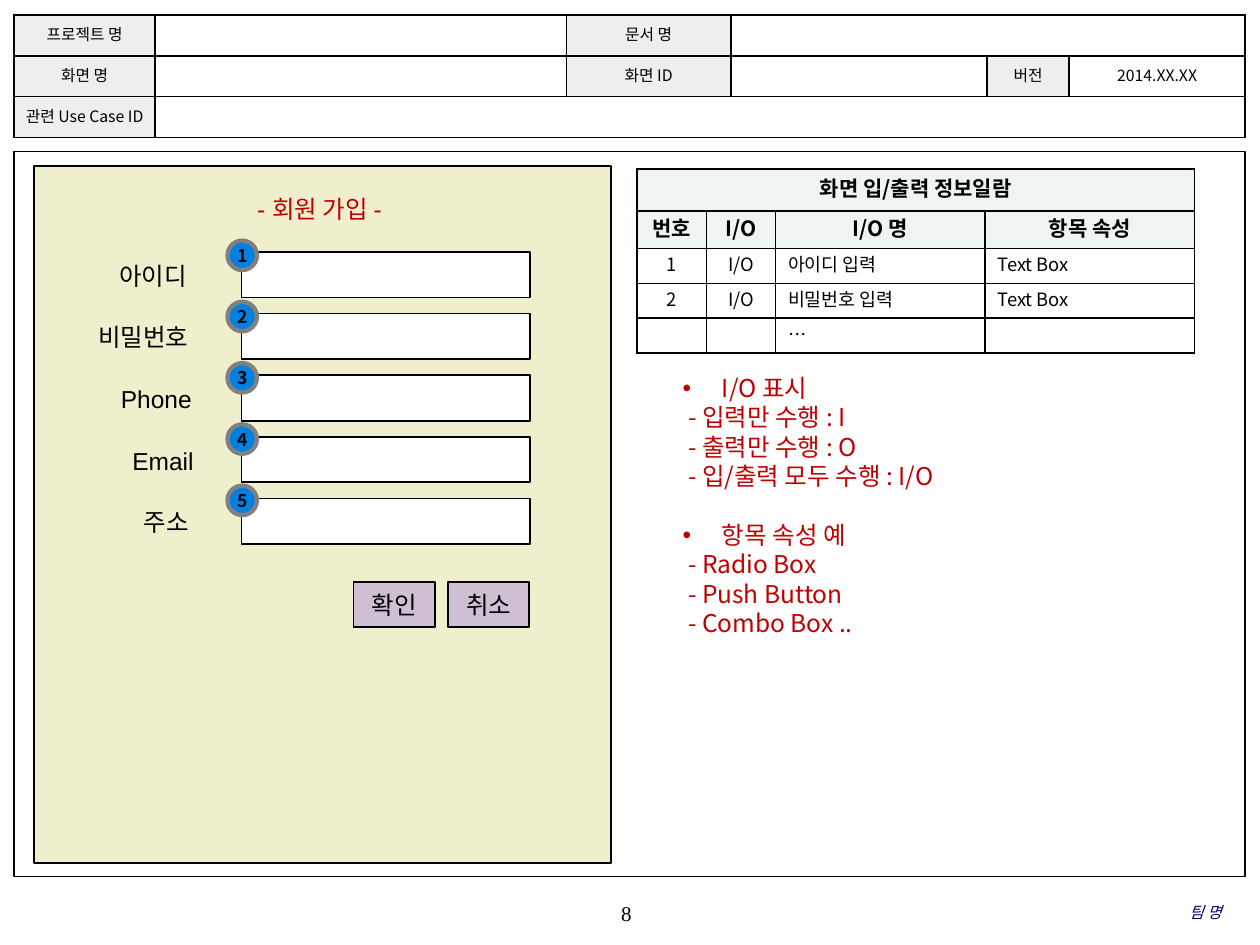
import pptx
import pptx.util
import pptx.dml.color
import pptx.enum.shapes
import pptx.enum.text
import pptx.oxml.ns
from lxml import etree

Pt = pptx.util.Pt
Align = pptx.enum.text.PP_ALIGN
Anchor = pptx.enum.text.MSO_ANCHOR
Kind = pptx.enum.shapes.MSO_SHAPE
qn = pptx.oxml.ns.qn


def color(hex):
    return pptx.dml.color.RGBColor.from_string(hex)


class Board:
    noto = "Noto Sans CJK KR"
    arial = "Arial"
    times = "Times New Roman"
    black = "000000"
    white = "FFFFFF"
    red = "C00000"
    pitch = 1.2

    def __init__(self, slide):
        self.slide = slide

    def style(self, para, size, face, ink=black, align=Align.LEFT, bold=False, slant=False):
        para.alignment = align
        para.line_spacing = Pt(round(size * self.pitch, 2))
        for run in para.runs:
            font = run.font
            font.size, font.name = Pt(size), face
            font.bold, font.italic = bold, slant
            font.color.rgb = color(ink)
            etree.SubElement(run._r.get_or_add_rPr(), qn("a:ea"), typeface=self.noto)
        if not para.runs:
            etree.SubElement(para._p, qn("a:endParaRPr"), sz=str(int(size * 100)))

    def shape(self, kind, box, fill, line=1, edge=black, text="", **look):
        item = self.slide.shapes.add_shape(kind, *map(Pt, box))
        item.shadow.inherit = False
        if fill:
            item.fill.solid()
            item.fill.fore_color.rgb = color(fill)
        else:
            item.fill.background()
        item.line.color.rgb = color(edge)
        item.line.width = Pt(line)
        if text:
            frame = item.text_frame
            frame.text = text
            frame.word_wrap = False
            frame.vertical_anchor = Anchor.MIDDLE
            self.style(frame.paragraphs[0], align=Align.CENTER, **look)

    def text(self, box, text, anchor=Anchor.MIDDLE, inset=True, **look):
        frame = self.slide.shapes.add_textbox(*map(Pt, box)).text_frame
        frame.text = text
        frame.word_wrap = True
        frame.vertical_anchor = anchor
        if not inset:
            frame.margin_left = frame.margin_right = 0
            frame.margin_top = frame.margin_bottom = 0
        for para in frame.paragraphs:
            self.style(para, **look)
        return frame

    def bullet(self, para, indent):
        props = para._p.get_or_add_pPr()
        props.set("marL", str(Pt(indent)))
        props.set("indent", str(-Pt(indent)))
        etree.SubElement(props, qn("a:buFont"), typeface=self.arial)
        etree.SubElement(props, qn("a:buChar"), char="•")

    def border(self, cell):
        props = cell._tc.get_or_add_tcPr()
        for side in ("lnL", "lnR", "lnT", "lnB"):
            line = etree.SubElement(props, qn("a:" + side), w=str(Pt(1)))
            fill = etree.SubElement(line, qn("a:solidFill"))
            etree.SubElement(fill, qn("a:srgbClr"), val=self.black)

    def table(self, left, top, cols, rows, data, spans, look, inset=None):
        size = (left, top, sum(cols), sum(rows))
        grid = self.slide.shapes.add_table(len(rows), len(cols), *map(Pt, size)).table
        grid.first_row = grid.horz_banding = False
        for col, width in zip(grid.columns, cols):
            col.width = Pt(width)
        for row, height in zip(grid.rows, rows):
            row.height = Pt(height)
        for r, words in enumerate(data):
            for c, word in enumerate(words):
                cell = grid.cell(r, c)
                fill, font = look(r, c, word)
                if inset:
                    cell.margin_left = cell.margin_right = Pt(inset[0])
                    cell.margin_top = cell.margin_bottom = Pt(inset[1])
                cell.vertical_anchor = Anchor.MIDDLE
                cell.text = word
                self.style(cell.text_frame.paragraphs[0], face=self.noto, **font)
                self.border(cell)
                cell.fill.solid()
                cell.fill.fore_color.rgb = color(fill)
        for r, first, last in spans:
            grid.cell(r, first).merge(grid.cell(r, last))


def info(row, col, word):
    if row < 2:
        return "EEF4F4", dict(size=12, bold=True, align=Align.CENTER)
    return Board.white, dict(size=10.5, align=Align.CENTER if col < 2 else Align.LEFT)


def head(row, col, word):
    label = word and col < 5
    return "EEEEEE" if label else Board.white, dict(size=9, align=Align.CENTER)


def main():
    deck = pptx.Presentation()
    deck.slide_width, deck.slide_height = Pt(720), Pt(540)
    board = Board(deck.slides.add_slide(deck.slide_layouts[6]))
    plain = dict(size=14, face=board.arial)

    board.text((283, 510, 150, 24), "8", inset=False, size=12, face=board.times,
               align=Align.CENTER)
    board.shape(Kind.RECTANGLE, (8, 86.5, 703.5, 414.5), None, line=0.75)
    board.text((477.5, 509, 220.5, 24), "팀 명", inset=False, size=9, face=board.times,
               ink="000066", align=Align.RIGHT, slant=True)

    board.shape(Kind.RECTANGLE, (19.5, 95, 329.5, 398), "EFEFCE")
    board.text((136, 107.3, 92, 23), " - 회원 가입 -", anchor=Anchor.TOP, ink=board.red, **plain)
    labels = (("아이디", 61), ("비밀번호", 49), ("Phone", 62), ("Email", 68.5), ("주소", 75))
    step = 35.2
    for i, (label, left) in enumerate(labels):
        board.shape(Kind.RECTANGLE, (138, 144 + i * step, 165, 26), board.white)
        board.text((left, 146 + i * step, 75, 23), label, **plain)
    for left, label in ((202, "확인"), (256, "취소")):
        board.shape(Kind.RECTANGLE, (left, 332.5, 46.5, 26), "CFBFD3", text=label, **plain)

    board.table(364, 96.5, (39.6, 39.6, 119.7, 119.7), (24, 21.6, 19.8, 19.8, 19.8), (
        ("화면 입/출력 정보일람", "", "", ""),
        ("번호", "I/O", "I/O 명", "항목 속성"),
        ("1", "I/O", "아이디 입력", "Text Box"),
        ("2", "I/O", "비밀번호 입력", "Text Box"),
        ("", "", "…", "")), ((0, 0, 3),), info)

    lines = ("I/O 표시", " - 입력만 수행 : I", " - 출력만 수행 : O", " - 입/출력 모두 수행 : I/O",
             "항목 속성 예", " - Radio Box", " - Push Button", " - Combo Box ..")
    notes = board.text((383, 209.5, 200, 177), "\n".join(lines), anchor=Anchor.TOP,
                       size=14, face=board.noto, ink=board.red).paragraphs
    notes[4].space_before = Pt(16.8)
    for para in (notes[0], notes[4]):
        board.bullet(para, 22.5)

    board.table(8, 8.5, (80.7, 235, 94, 146.3, 47, 100.5), (23.4,) * 3, (
        ("프로젝트 명", "", "문서 명", "", "", ""),
        ("화면 명", "", "화면 ID", "", "버전", "2014.XX.XX"),
        ("관련 Use Case ID", "", "", "", "", "")),
        ((0, 3, 5), (2, 1, 5)), head, inset=(2.9, 1.4))

    for i in range(len(labels)):
        board.shape(Kind.OVAL, (130, 137.5 + i * 35, 16.8, 16.8), "0081E2", line=2.5,
                    edge="808080", text=str(i + 1), size=10, face=board.noto, bold=True)
    deck.save("out.pptx")


if __name__ == "__main__":
    main()
